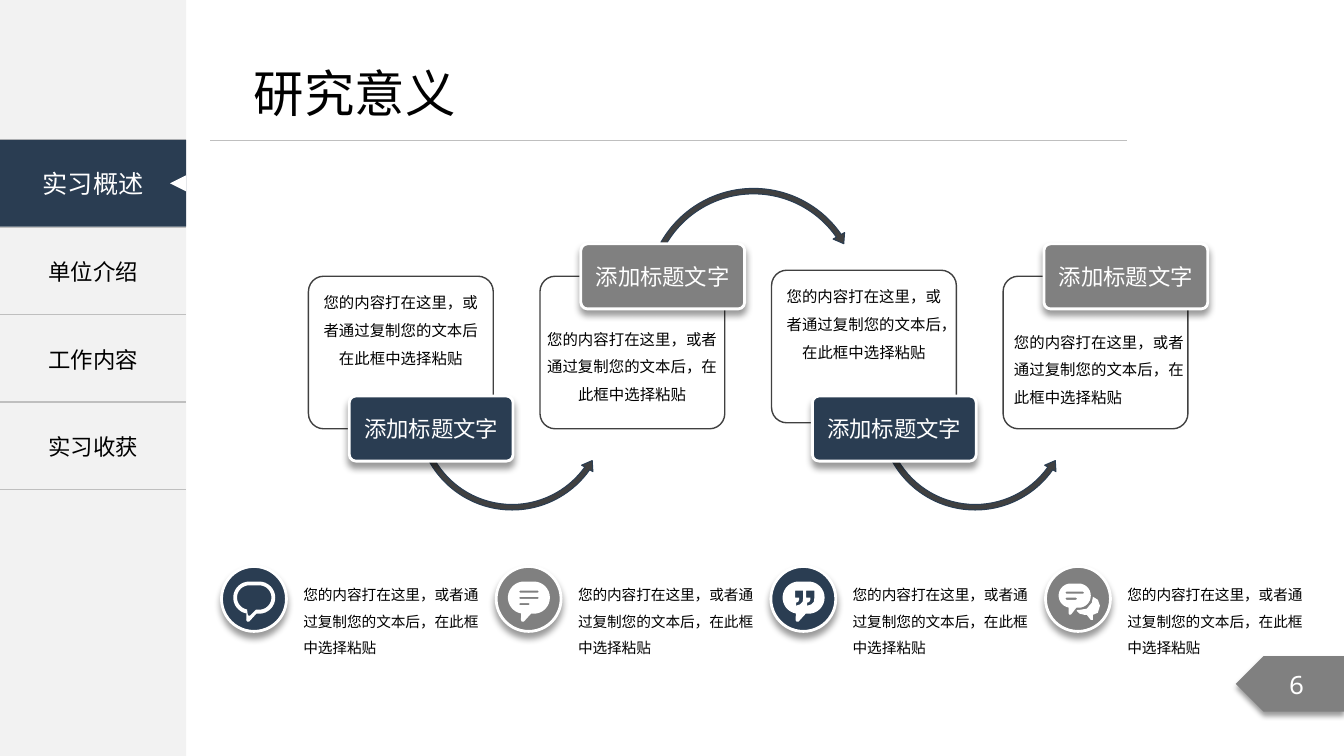
import math
from dataclasses import dataclass

import pptx
import pptx.dml.color
import pptx.enum.shapes
import pptx.enum.text
import pptx.oxml
import pptx.oxml.ns
import pptx.util

Pt = pptx.util.Pt
qn = pptx.oxml.ns.qn
MSO = pptx.enum.shapes.MSO_SHAPE
ALIGN = pptx.enum.text.PP_ALIGN
ANCHOR = pptx.enum.text.MSO_ANCHOR


@dataclass(frozen=True)
class Theme:
    navy: str = "2A3D52"
    gray: str = "808080"
    dark: str = "404040"
    rule: str = "BFBFBF"
    side: str = "F2F2F2"
    white: str = "FFFFFF"
    black: str = "000000"
    cjk: str = "Noto Sans CJK SC"
    latin: str = "Lato"
    mono: str = "Noto Sans Mono"
    title: float = 36
    active: float = 18
    label: float = 16
    card: float = 11
    note: float = 10.5


T = Theme()
BODY = "您的内容打在这里，或者通过复制您的文本后，在此框中选择粘贴"
BODY_SHORT = BODY.replace("文本后，", "文本后")


def rgb(color):
    return pptx.dml.color.RGBColor.from_string(color)


def xml(tag, body="", attrs=""):
    ns = pptx.oxml.ns.nsdecls("a")
    return pptx.oxml.parse_xml(f"<a:{tag} {ns} {attrs}>{body}</a:{tag}>")


def write(tf, text, size, color=T.black, font=T.cjk, align=ALIGN.LEFT, spacing=None):
    p = tf.paragraphs[0]
    p.text = text
    p.alignment = align
    if spacing:
        p.line_spacing = spacing
    p.font.size = Pt(size)
    p.font.color.rgb = rgb(color)
    p.font.name = font
    p._p.pPr.find(qn("a:defRPr")).append(xml("ea", attrs=f'typeface="{T.cjk}"'))


def style(sp, fill=None, line=None, width=1, shadow=None):
    """Set fill, line and an optional shadow given as (blur, distance)."""
    if fill:
        sp.fill.solid()
        sp.fill.fore_color.rgb = rgb(fill)
    else:
        sp.fill.background()
    if line:
        sp.line.color.rgb = rgb(line)
        sp.line.width = Pt(width)
    else:
        sp.line.fill.background()
    sp.shadow.inherit = False
    if shadow:
        blur, dist = map(Pt, shadow)
        color = f'<a:srgbClr val="{T.black}"><a:alpha val="40000"/></a:srgbClr>'
        sp._element.spPr.find(qn("a:effectLst")).append(xml(
            "outerShdw", color, f'blurRad="{blur}" dist="{dist}" dir="5400000" rotWithShape="0"'))
    return sp


def shape(s, kind, x, y, w, h, **look):
    return style(s.shapes.add_shape(kind, Pt(x), Pt(y), Pt(w), Pt(h)), **look)


def text_box(s, x, y, w, h, text, size, align=ALIGN.LEFT):
    tf = s.shapes.add_textbox(Pt(x), Pt(y), Pt(w), Pt(h)).text_frame
    tf.word_wrap = True
    write(tf, text, size, align=align, spacing=1.5)


def centred(sp, text, size, font=T.cjk):
    sp.text_frame.vertical_anchor = ANCHOR.MIDDLE
    write(sp.text_frame, text, size, T.white, font, ALIGN.CENTER)


def sidebar(s, w, h, top, row_h, sections):
    """Draw the navigation column with its first section active."""
    shape(s, MSO.RECTANGLE, 0, 0, w, h, fill=T.side)
    table = s.shapes.add_table(len(sections), 1, 0, Pt(top), Pt(w), Pt(row_h * len(sections))).table
    table.first_row = table.horz_banding = False
    table._tbl.tblPr.find(qn("a:tableStyleId")).text = "{2D5ABB26-0587-4C30-8999-92F81FD0307C}"
    for i, section in enumerate(sections):
        cell = table.cell(i, 0)
        cell.vertical_anchor = ANCHOR.MIDDLE
        for side in ("lnT", "lnB"):
            fill = f'<a:solidFill><a:srgbClr val="{T.rule}"/></a:solidFill>'
            cell._tc.get_or_add_tcPr().append(xml(side, fill, f'w="{Pt(1)}"'))
        cell.fill.background()
        if i:
            write(cell.text_frame, section, T.label, align=ALIGN.CENTER)
    active = shape(s, MSO.RECTANGLE, 0, top, w, row_h - 0.5, fill=T.navy)
    centred(active, sections[0], T.active)
    marker = shape(s, MSO.ISOSCELES_TRIANGLE, w - 11.5, top + row_h / 2 - 6, 11.5, 11.5, fill=T.white)
    marker.rotation = 270


def heading(s, x, y, w, text):
    title = s.shapes.title
    title.left, title.top, title.width, title.height = Pt(x + 24), Pt(y), Pt(160), Pt(51)
    tf = title.text_frame
    tf.word_wrap = False
    tf.auto_size = pptx.enum.text.MSO_AUTO_SIZE.NONE
    tf.vertical_anchor = ANCHOR.TOP
    write(tf, text, T.title)
    rule = s.shapes.add_connector(pptx.enum.shapes.MSO_CONNECTOR.STRAIGHT,
                                  Pt(x), Pt(100), Pt(x + w), Pt(100))
    rule.line.color.rgb = rgb(T.rule)
    rule.line.width = Pt(0.5)
    rule._element.spPr.append(xml("effectLst"))


def page_number(s, x, y, w, h, number):
    tag = shape(s, MSO.PENTAGON, x, y, w, h, fill=T.gray, shadow=(4, 3))
    tag._element.spPr.find(qn("a:xfrm")).set("flipH", "1")
    centred(tag, number, T.active, T.mono)


def arrow(s, kind, x, y, size, adjustments):
    sp = shape(s, kind, x, y, size, size, fill=T.dark, line=T.navy, width=0.75)
    for i, value in enumerate(adjustments):
        sp.adjustments[i] = value


def card(s, x, y, label_y, color, text=None):
    """Draw an outlined card, its own text if any, and its overlapping label."""
    frame = shape(s, MSO.ROUNDED_RECTANGLE, x, y, 132, 109, line=T.dark)
    frame.adjustments[0] = 0.1
    if text:
        tf = frame.text_frame
        tf.vertical_anchor = ANCHOR.TOP
        tf.margin_left = tf.margin_right = tf.margin_top = Pt(2.6)
        tf.margin_bottom = Pt(22)
        write(tf, text, T.card, align=ALIGN.CENTER, spacing=1.5)
    label = shape(s, MSO.ROUNDED_RECTANGLE, x + 29.2, label_y, 117, 46.5,
                  fill=color, line=T.white, width=2, shadow=(5, 4))
    label.adjustments[0] = 0.1
    label.text_frame.margin_left = label.text_frame.margin_right = Pt(5)
    centred(label, "添加标题文字", T.label, T.latin)


def process(s, x, y, pitch):
    xs = [x + i * pitch for i in range(4)]
    for i in (0, 2):
        arrow(s, MSO.LEFT_CIRCULAR_ARROW, xs[i] + 75, y + 28.7, 141,
              (0.028, 3.466, 21.221, 90.245, 0.033))
    arrow(s, MSO.CIRCULAR_ARROW, xs[1] + 73.7, y - 65.5, 157.7,
          (0.025, 3.074, 195.171, 125.755, 0.03))
    card(s, xs[0], y, y + 85.6, T.navy, BODY_SHORT)
    card(s, xs[2], y - 4.3, y + 85.6, T.navy, BODY)
    for i in (1, 3):
        card(s, xs[i], y, y - 23.1, T.gray)
    text_box(s, xs[1] - 2.9, y + 28.1, 137.5, 67, BODY, T.card, ALIGN.CENTER)
    text_box(s, xs[3] + 0.7, y + 30.2, 141, 67, BODY, T.card)


def arc(cx, cy, r, start, end, steps=16):
    angles = [math.radians(start + (end - start) * i / steps) for i in range(steps + 1)]
    return [(cx + r * math.cos(a), cy + r * math.sin(a)) for a in angles]


def pill(x, y, w, h, tail=()):
    r = h / 2
    return (arc(x + w - r, y + r, r, -90, 90) + list(tail)
            + arc(x + r, y + r, r, 100 if tail else 90, 270))


def bubble(x, y, w, h, drop):
    bottom = y + h
    tail = [(x + 0.55 * w, bottom), (x + 0.38 * w, bottom + drop), (x + 0.33 * w, bottom + drop),
            (x + 0.31 * w, bottom + 0.8 * drop)]
    return pill(x, y, w, h, tail)


def quote(x, y):
    outline = [(0, 0), (5.8, 0), (5.8, 5), (5.4, 8), (3.6, 9.8), (0.7, 10.8),
               (0.7, 8.6), (2.2, 8), (2.9, 6.5), (2.9, 5), (0, 5)]
    return [(x + dx, y + dy) for dx, dy in outline]


SPEECH = bubble(8.4, 10.8, 30, 23, 5.6)
REPLY = [(33.8, 21.6), (33.8, 22.3), (33.1, 25.9), (29.5, 30.2), (24.5, 31), (23, 31),
         (22.3, 31.7), (24.5, 33.8), (28.1, 34.6), (29.5, 34.6), (32.4, 38.2), (33.8, 38.2),
         (33.8, 34.6), (37.4, 33.1), (38.9, 28.1), (37.4, 23.8)]
ICONS = [
    [SPEECH, bubble(11.1, 13.5, 24.6, 17.4, 4.2)],
    [SPEECH, pill(16.6, 17.3, 13.7, 1.4), pill(16.6, 21.8, 13.7, 1.4), pill(16.6, 26.2, 7.2, 1.4)],
    [SPEECH, quote(17.3, 17.3), quote(25.3, 17.3)],
    [bubble(9.4, 12.2, 23, 17.3, 5), pill(14.4, 18, 13, 1.5), pill(14.4, 22.3, 8, 1.5), REPLY],
]


def icon(s, x, y, contours):
    """Draw closed contours as one white shape; inner contours are holes."""
    placed = [[(Pt(x + dx), Pt(y + dy)) for dx, dy in c] for c in contours]
    fb = s.shapes.build_freeform(*placed[0][0])
    for i, points in enumerate(placed):
        if i:
            fb.move_to(*points[0])
        fb.add_line_segments(points[1:], close=True)
    style(fb.convert_to_shape(), fill=T.white)


def notes_row(s, x, y, pitch):
    for i, contours in enumerate(ICONS):
        left = x + i * pitch
        text_box(s, left + 51.4, y + 4.3, 139.7, 62, BODY, T.note)
        shape(s, MSO.OVAL, left, y, 46.4, 46.4, fill=(T.navy, T.gray)[i % 2],
              line=T.white, width=2, shadow=(5, 4))
        icon(s, left, y, contours)


def main():
    prs = pptx.Presentation()
    prs.slide_width, prs.slide_height = Pt(960), Pt(540)
    s = prs.slides.add_slide(prs.slide_layouts[5])
    sidebar(s, 133, 540, 100, 62.4, ["实习概述", "单位介绍", "工作内容", "实习收获"])
    heading(s, 150.2, 41, 654.8, "研究意义")
    process(s, 220.3, 197.3, 165.4)
    notes_row(s, 158.2, 404.6, 196.2)
    page_number(s, 882.7, 468.7, 77.3, 39.6, "6")
    prs.save("out.pptx")


if __name__ == "__main__":
    main()
